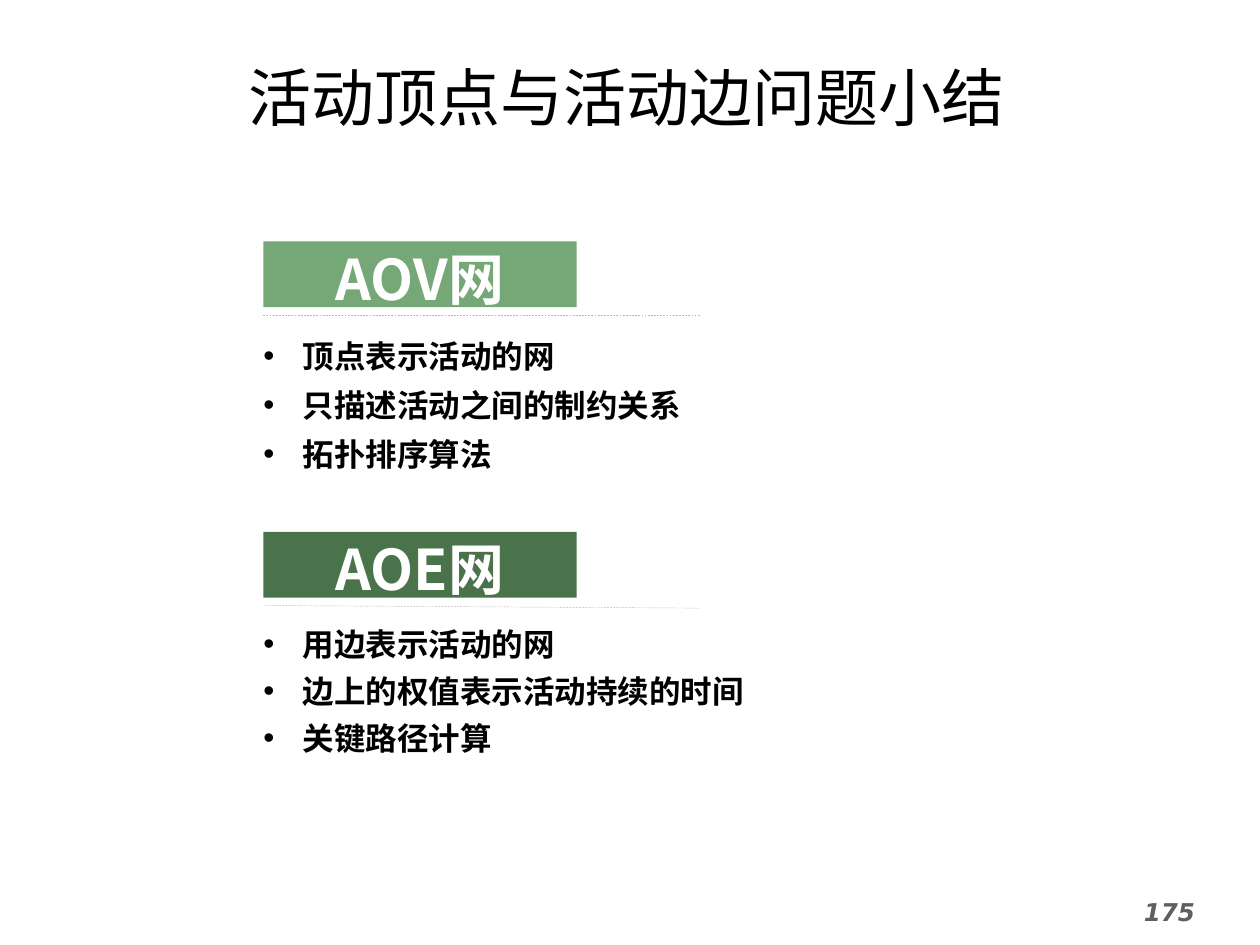
from dataclasses import dataclass

from lxml.etree import SubElement
from pptx import Presentation
from pptx.dml.color import RGBColor
from pptx.enum.dml import MSO_LINE
from pptx.enum.shapes import MSO_CONNECTOR, MSO_SHAPE
from pptx.enum.text import MSO_ANCHOR, PP_ALIGN
from pptx.oxml.ns import qn
from pptx.util import Pt


@dataclass(frozen=True)
class Theme:
    ink: RGBColor = RGBColor(0, 0, 0)
    white: RGBColor = RGBColor(255, 255, 255)
    gray: RGBColor = RGBColor(0x5F, 0x5F, 0x5F)
    rule: RGBColor = RGBColor(0xB8, 0xB8, 0xB8)
    light_green: RGBColor = RGBColor(0x76, 0xA7, 0x76)
    dark_green: RGBColor = RGBColor(0x4B, 0x73, 0x4B)
    title_font: str = "Noto Sans CJK JP"
    body_font: str = "Noto Sans CJK SC"
    number_font: str = "DejaVu Sans"
    title_size: int = 36
    banner_size: int = 32
    body_size: int = 18
    number_size: int = 14


THEME = Theme()


def format_runs(paragraph, font_name, size, color, bold=False, italic=False):
    for run in paragraph.runs:
        font = run.font
        font.name, font.size = font_name, Pt(size)
        font.bold, font.italic = bold, italic
        font.color.rgb = color
        SubElement(run._r.get_or_add_rPr(), qn("a:ea"), typeface=font_name)


def add_text_box(slide, left, top, width, height):
    box = slide.shapes.add_textbox(Pt(left), Pt(top), Pt(width), Pt(height))
    box.text_frame.word_wrap = True
    return box.text_frame


def add_title(slide, left, top, width, height, text):
    text_frame = add_text_box(slide, left, top, width, height)
    text_frame.vertical_anchor = MSO_ANCHOR.MIDDLE
    text_frame.text = text
    paragraph = text_frame.paragraphs[0]
    paragraph.alignment = PP_ALIGN.CENTER
    format_runs(paragraph, THEME.title_font, THEME.title_size, THEME.ink)


def add_page_number(slide, left, top, width, height, text):
    text_frame = add_text_box(slide, left, top, width, height)
    text_frame.text = text
    format_runs(text_frame.paragraphs[0], THEME.number_font,
                THEME.number_size, THEME.gray, bold=True, italic=True)


def add_banner(slide, left, top, width, height, text, color):
    banner = slide.shapes.add_shape(
        MSO_SHAPE.RECTANGLE, Pt(left), Pt(top), Pt(width), Pt(height))
    banner.shadow.inherit = False
    banner.fill.solid()
    banner.fill.fore_color.rgb = color
    banner.line.fill.background()
    text_frame = banner.text_frame
    text_frame.vertical_anchor = MSO_ANCHOR.MIDDLE
    text_frame.text = text
    paragraph = text_frame.paragraphs[0]
    paragraph.alignment = PP_ALIGN.CENTER
    paragraph.line_spacing = 1.1
    format_runs(paragraph, THEME.body_font, THEME.banner_size, THEME.white, bold=True)


def add_rule(slide, left, top, width, drop):
    rule = slide.shapes.add_connector(
        MSO_CONNECTOR.STRAIGHT, Pt(left), Pt(top), Pt(left + width), Pt(top + drop))
    rule.line.color.rgb = THEME.rule
    rule.line.width = Pt(0.25)
    rule.line.dash_style = MSO_LINE.DASH
    SubElement(rule._element.spPr, qn("a:effectLst"))


def add_bullets(slide, left, top, width, height, items, line_height, gap):
    text_frame = add_text_box(slide, left, top, width, height)
    text_frame.margin_left = text_frame.margin_right = 0
    text_frame.margin_top = text_frame.margin_bottom = 0
    text_frame.text = "\n".join(items)
    for index, paragraph in enumerate(text_frame.paragraphs):
        paragraph.line_spacing = Pt(line_height)
        paragraph.space_before = Pt(gap if index else 0)
        properties = paragraph._p.get_or_add_pPr()
        properties.set("marL", str(Pt(22.5)))
        properties.set("indent", str(-Pt(22.5)))
        SubElement(properties, qn("a:buFont"), typeface="Arial")
        SubElement(properties, qn("a:buChar"), char="•")
        format_runs(paragraph, THEME.body_font, THEME.body_size, THEME.ink, bold=True)


def add_section(slide, left, top, width, heading, color, items,
                rule_drop, list_top, line_height, gap):
    """Banner, dashed rule and bullet list, all placed from the section's corner."""
    add_bullets(slide, left, top + list_top, width, 124.5, items, line_height, gap)
    add_rule(slide, left, top + 42, 250, rule_drop)
    add_banner(slide, left, top, 179, 37.5, heading, color)


def main():
    presentation = Presentation()
    presentation.slide_width, presentation.slide_height = Pt(720), Pt(540)
    slide = presentation.slides.add_slide(presentation.slide_layouts[6])

    add_title(slide, 100, 29.5, 516, 51, "活动顶点与活动边问题小结")

    # Two network types, one above the other
    add_section(slide, 150.5, 138, 250, "AOV网", THEME.light_green,
                ["顶点表示活动的网", "只描述活动之间的制约关系", "拓扑排序算法"],
                rule_drop=0, list_top=48, line_height=28, gap=0)
    add_section(slide, 150.5, 304, 288, "AOE网", THEME.dark_green,
                ["用边表示活动的网", "边上的权值表示活动持续的时间", "关键路径计算"],
                rule_drop=1.5, list_top=55, line_height=19.5, gap=7.5)

    add_page_number(slide, 646.5, 509, 73.5, 31, "175")
    presentation.save("out.pptx")


if __name__ == "__main__":
    main()
